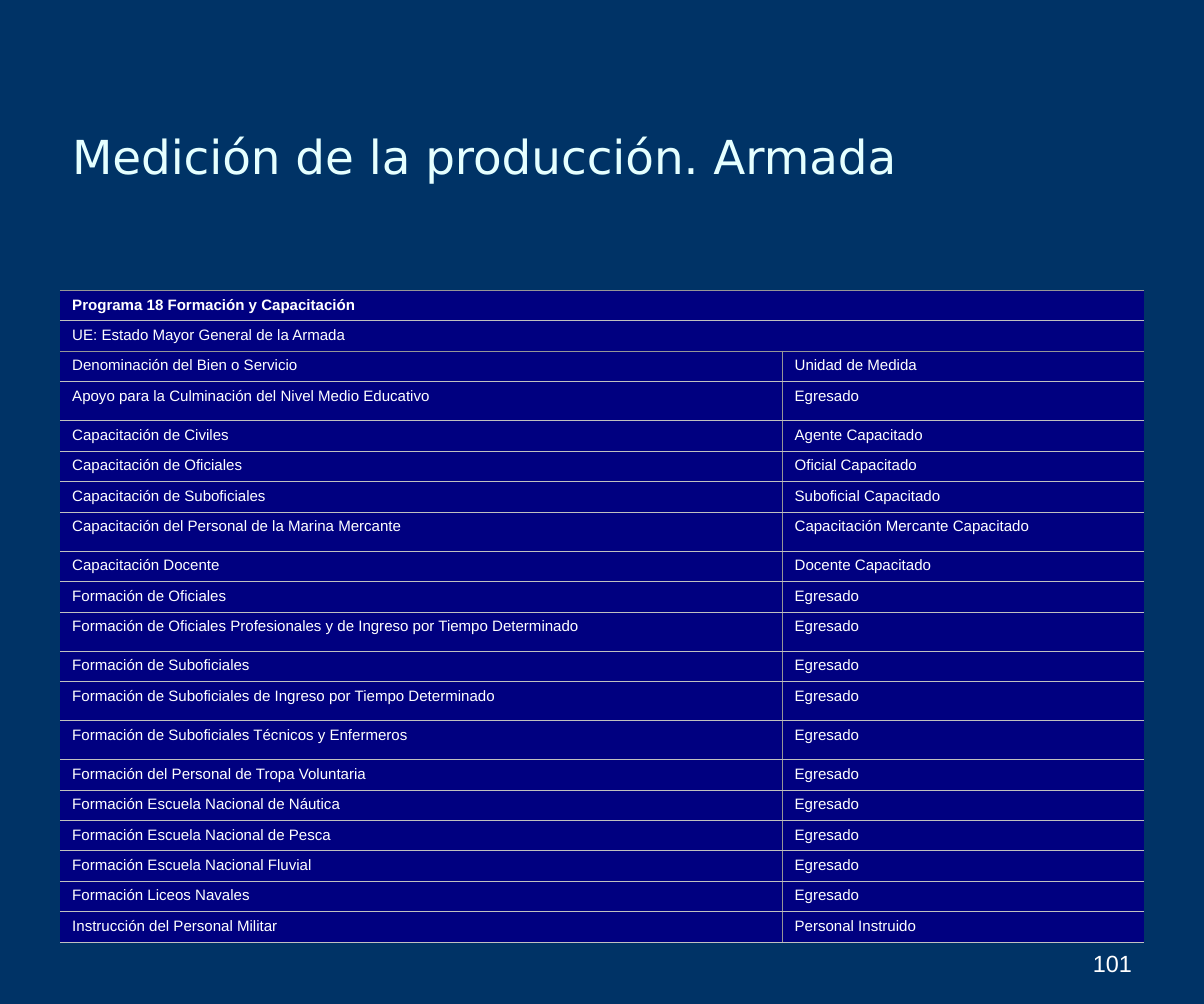
"""Build the slide on production measures of the navy training programme."""
from pptx import Presentation
from pptx.dml.color import RGBColor as Rgb
from pptx.enum.text import MSO_ANCHOR as Anchor, PP_ALIGN as Align
from pptx.oxml import parse_xml
from pptx.oxml.ns import nsdecls
from pptx.util import Inches, Pt

TITLE = "Medición de la producción. Armada"
PAGE = "101"
HEADS = ["Programa 18 Formación y Capacitación", "UE: Estado Mayor General de la Armada"]
GOODS = [
    ("Denominación del Bien o Servicio", "Unidad de Medida"),
    ("Apoyo para la Culminación del Nivel Medio Educativo", "Egresado"),
    ("Capacitación de Civiles", "Agente Capacitado"),
    ("Capacitación de Oficiales", "Oficial Capacitado"),
    ("Capacitación de Suboficiales", "Suboficial Capacitado"),
    ("Capacitación del Personal de la Marina Mercante", "Capacitación Mercante Capacitado"),
    ("Capacitación Docente", "Docente Capacitado"),
    ("Formación de Oficiales", "Egresado"),
    ("Formación de Oficiales Profesionales y de Ingreso por Tiempo Determinado", "Egresado"),
    ("Formación de Suboficiales", "Egresado"),
    ("Formación de Suboficiales de Ingreso por Tiempo Determinado", "Egresado"),
    ("Formación de Suboficiales Técnicos y Enfermeros", "Egresado"),
    ("Formación del Personal de Tropa Voluntaria", "Egresado"),
    ("Formación Escuela Nacional de Náutica", "Egresado"),
    ("Formación Escuela Nacional de Pesca", "Egresado"),
    ("Formación Escuela Nacional Fluvial", "Egresado"),
    ("Formación Liceos Navales", "Egresado"),
    ("Instrucción del Personal Militar", "Personal Instruido"),
]
ROWS = [(head, "") for head in HEADS] + GOODS
TALL = {3, 7, 10, 12, 13}
RATIO = 1.28
COLS = [6, 3]
LEFT, TOP, WIDTH, HEIGHT = 0.5, 2.41, 9, 5.42
BACK, NAVY, WHITE, ICE = "003366", "000080", "FFFFFF", "E5FFFF"
GREY, SILVER = "969696", "C0C0C0"


def paint(fill, color):
    fill.solid()
    fill.fore_color.rgb = Rgb.from_string(color)


def write(frame, text, size=9, font="Arial", color=WHITE, bold=False,
          align=Align.LEFT, hang=0):
    par = frame.paragraphs[0]
    par.alignment = align
    if hang:
        props = par._p.get_or_add_pPr()
        props.set("marL", str(Inches(hang)))
        props.set("indent", str(-Inches(hang)))
    run = par.add_run()
    run.text = text
    run.font.size, run.font.name, run.font.bold = Pt(size), font, bold
    run.font.color.rgb = Rgb.from_string(color)


def add_box(slide, place, text, anchor, **style):
    frame = slide.shapes.add_textbox(*map(Inches, place)).text_frame
    frame.word_wrap = True
    frame.vertical_anchor = anchor
    write(frame, text, **style)


def edge(cell, side, color):
    ink = f'<a:solidFill><a:srgbClr val="{color}"/></a:solidFill>' if color else "<a:noFill/>"
    cell._tc.get_or_add_tcPr().append(parse_xml(
        f'<a:ln{side} {nsdecls("a")} w="{Pt(0.45)}">{ink}</a:ln{side}>'))


def add_grid(slide):
    place = map(Inches, (LEFT, TOP, WIDTH, HEIGHT))
    grid = slide.shapes.add_table(len(ROWS), len(COLS), *place).table
    grid.first_row = grid.horz_banding = False
    for col, width in zip(grid.columns, COLS):
        col.width = Inches(width)
    low = HEIGHT / (len(ROWS) + len(TALL) * (RATIO - 1))
    top = GREY
    for r, texts in enumerate(ROWS):
        grid.rows[r].height = Inches(low * RATIO if r in TALL else low)
        head = r < len(HEADS)
        base = GREY if r == len(HEADS) - 1 else SILVER
        for c, text in enumerate(texts):
            cell = grid.cell(r, c)
            edge(cell, "L", GREY if c and not head else None)
            edge(cell, "R", None if c or head else GREY)
            edge(cell, "T", top)
            edge(cell, "B", base)
            paint(cell.fill, NAVY)
            if text:
                write(cell.text_frame, text, bold=r == 0, hang=0.38)
        if head:
            grid.cell(r, 0).merge(grid.cell(r, 1))
        top = base
    grid.cell(0, 0).vertical_anchor = Anchor.MIDDLE


def main():
    deck = Presentation()
    deck.slide_width, deck.slide_height = Inches(10), Inches(8.34)
    slide = deck.slides.add_slide(deck.slide_layouts[6])
    paint(slide.background.fill, BACK)
    add_box(slide, (0.5, 0.46, 9, 1.67), TITLE, Anchor.MIDDLE,
            size=28, font="DejaVu Sans", color=ICE)
    add_grid(slide)
    add_box(slide, (7.17, 7.59, 2.33, 0.58), PAGE, Anchor.BOTTOM,
            size=14, align=Align.RIGHT)
    deck.save("out.pptx")


if __name__ == "__main__":
    main()
